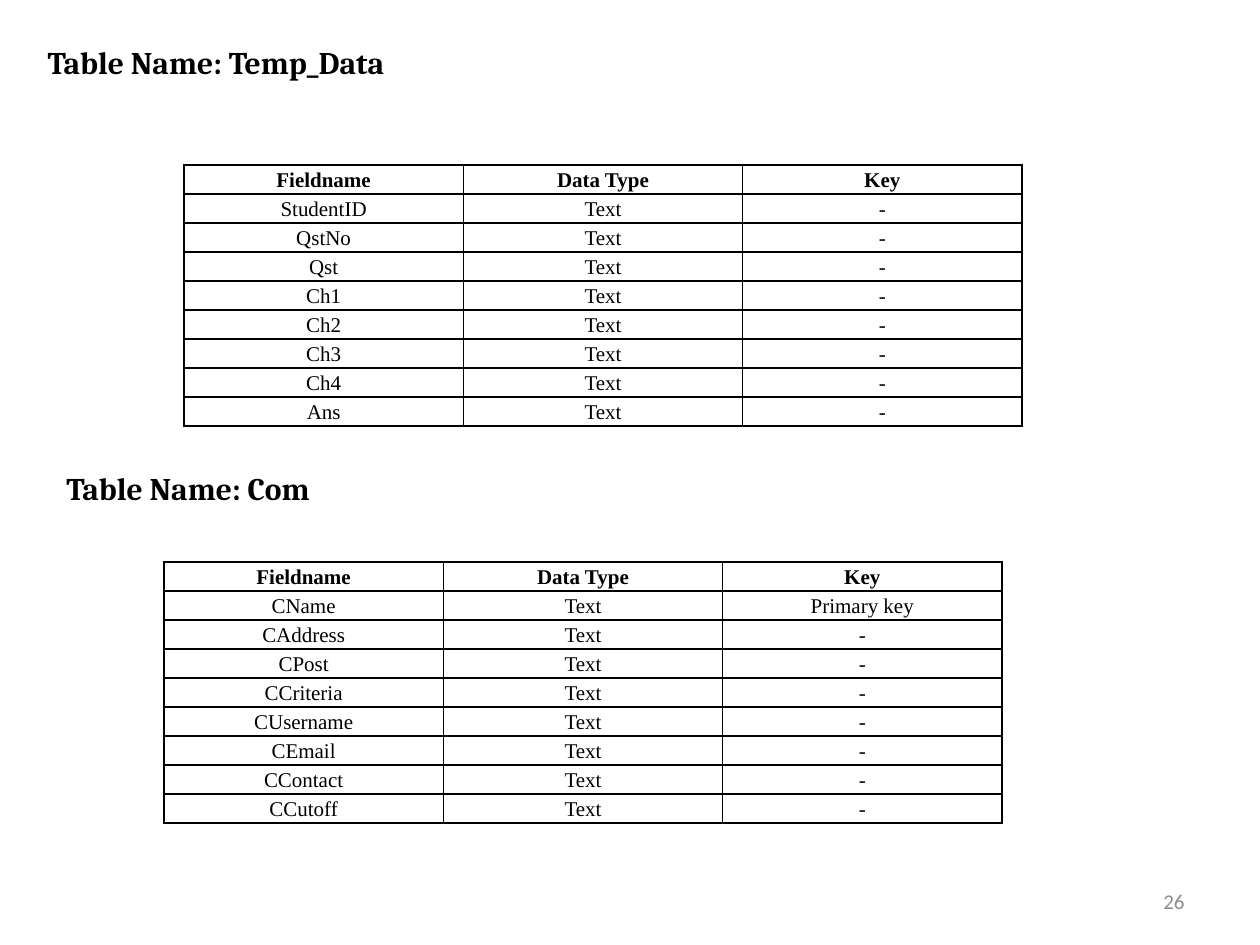
"""Build a slide that describes two database tables."""
from dataclasses import dataclass

from lxml.etree import fromstring
from pptx import Presentation
from pptx.dml.color import RGBColor
from pptx.enum.text import MSO_ANCHOR, MSO_AUTO_SIZE, PP_ALIGN
from pptx.oxml.ns import nsdecls
from pptx.util import Pt

SCALE = 914400 / 126


def px(num):
    """Turn pixels into EMU."""
    return round(num * SCALE)


def assign(obj, vals):
    """Set attributes of an object from a dict."""
    for key, val in vals.items():
        setattr(obj, key, val)


@dataclass(frozen=True)
class Theme:
    """Colours, fonts and type sizes."""
    ink: str = "000000"
    gray: str = "8C8C8C"
    head: tuple = ("Cambria", 18)
    cell: tuple = ("Times New Roman", 12)
    foot: tuple = ("Calibri", 12)


class Sheet:
    """Draw elements on one slide in one style."""

    def __init__(self, deck, theme):
        """Add a slide with a title."""
        self.theme = theme
        self.slide = deck.slides.add_slide(deck.slide_layouts[5])

    def letter(self, frame, text, face, color, bold=False, **form):
        """Fill a text frame with one styled paragraph."""
        para = frame.paragraphs[0]
        para.text = text
        assign(para, form)
        name, size = face
        assign(para.font, {"name": name, "size": Pt(size), "bold": bold})
        para.font.color.rgb = RGBColor.from_string(color)

    def place(self, shape, box):
        """Move a shape to its box in pixels."""
        assign(shape, dict(zip(("left", "top", "width", "height"), map(px, box))))

    def heading(self, shape, text, box):
        """Format a shape as a table heading."""
        self.place(shape, box)
        assign(shape.text_frame, {
            "word_wrap": False,
            "auto_size": MSO_AUTO_SIZE.SHAPE_TO_FIT_TEXT,
            "vertical_anchor": MSO_ANCHOR.MIDDLE,
        })
        self.letter(shape.text_frame, text, self.theme.head, self.theme.ink,
                    bold=True, alignment=PP_ALIGN.LEFT)

    def title(self, text, box):
        """Fill the title placeholder."""
        self.heading(self.slide.shapes.title, text, box)

    def label(self, text, box):
        """Add a second heading as a text box."""
        self.heading(self.slide.shapes.add_textbox(0, 0, 0, 0), text, box)

    def number(self, text, box):
        """Add the page number."""
        frame = self.slide.shapes.add_textbox(*map(px, box)).text_frame
        assign(frame, {"word_wrap": True, "vertical_anchor": MSO_ANCHOR.MIDDLE})
        self.letter(frame, text, self.theme.foot, self.theme.gray,
                    alignment=PP_ALIGN.RIGHT)

    def border(self, cell):
        """Draw a thin line on each side of a cell."""
        props = cell._tc.get_or_add_tcPr()
        for spot, side in enumerate("LRTB"):
            props.insert(spot, fromstring(
                f'<a:ln{side} {nsdecls("a")} w="12700"><a:solidFill>'
                f'<a:srgbClr val="{self.theme.ink}"/></a:solidFill></a:ln{side}>'))

    def table(self, rows, box):
        """Add a ruled table with a bold first row."""
        grid = self.slide.shapes.add_table(
            len(rows), len(rows[0]), *map(px, box)).table
        assign(grid, {"first_row": False, "horz_banding": False})
        for i, row in enumerate(rows):
            for j, text in enumerate(row):
                cell = grid.cell(i, j)
                assign(cell, {"margin_left": px(9), "margin_right": px(9),
                              "margin_top": 0, "margin_bottom": 0})
                cell.fill.background()
                self.border(cell)
                self.letter(cell.text_frame, text, self.theme.cell,
                            self.theme.ink, bold=i == 0,
                            alignment=PP_ALIGN.CENTER, line_spacing=1.15)


def fields(names, main=None):
    """List the header and one row for each field."""
    return [("Fieldname", "Data Type", "Key")] + [
        (name, "Text", "Primary key" if name == main else "-")
        for name in names.split()]


def main():
    """Build and save the deck."""
    deck = Presentation()
    assign(deck, {"slide_width": px(1260), "slide_height": px(945)})
    sheet = Sheet(deck, Theme())
    sheet.title("Table Name: Temp_Data", (35, 37, 373, 50))
    sheet.table(fields("StudentID QstNo Qst Ch1 Ch2 Ch3 Ch4 Ans"),
                (184, 165, 838, 241))
    sheet.label("Table Name: Com", (54, 463, 277, 50))
    sheet.table(fields("CName CAddress CPost CCriteria CUsername CEmail "
                       "CContact CCutoff", "CName"), (164, 562, 838, 261))
    sheet.number("26", (903, 876, 294, 50))
    deck.save("out.pptx")


if __name__ == "__main__":
    main()
